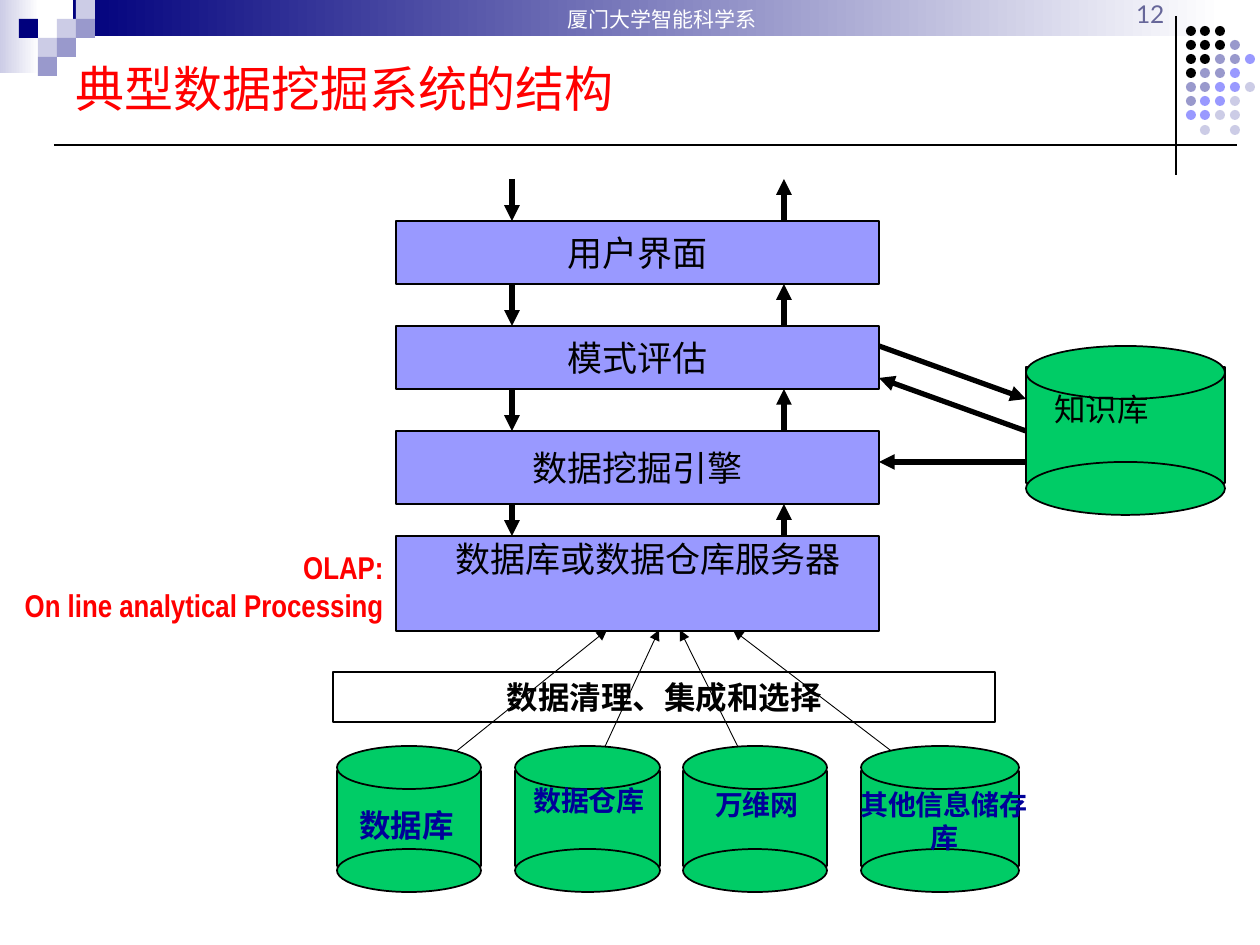
from lxml.etree import SubElement
from pptx import Presentation
from pptx.dml.color import RGBColor
from pptx.enum.shapes import MSO_CONNECTOR, MSO_SHAPE
from pptx.enum.text import MSO_ANCHOR, PP_ALIGN
from pptx.oxml.ns import qn
from pptx.util import Pt

EMU_PER_PX = 914400 / 126
BLACK, WHITE, NAVY, RED = "000000", "FFFFFF", "00007D", "FF0000"
PALE, MUTED, VIOLET, GREEN, INK = "CCCCE6", "9999CC", "9999FF", "00CC66", "000099"


def px(length):
    """Turn pixels into EMU."""
    return round(length * EMU_PER_PX)


def color(value):
    """Turn a hex string into a colour."""
    return RGBColor.from_string(value)


def add_block(slide, preset, box, fill=None, line=None, weight=0.75):
    """Add a preset shape with a plain fill and outline."""
    block = slide.shapes.add_shape(preset, *map(px, box))
    block.shadow.inherit = False
    if fill:
        block.fill.solid()
        block.fill.fore_color.rgb = color(fill)
    else:
        block.fill.background()
    if line:
        block.line.color.rgb = color(line)
        block.line.width = Pt(weight)
    else:
        block.line.fill.background()
    return block


def fade(block, start):
    """Fill a block with a fade from a colour to white, left to right."""
    block.fill.gradient()
    block.fill.gradient_angle = 0
    for stop, shade, position in zip(block.fill.gradient_stops, (start, WHITE), (0, 1)):
        stop.color.rgb = color(shade)
        stop.position = position


def write(holder, text, size, font, ink, bold=False, align=PP_ALIGN.CENTER,
          anchor=MSO_ANCHOR.TOP, wrap=True):
    """Set and format the text of a shape."""
    frame = holder.text_frame
    frame.text = text
    frame.word_wrap = wrap
    frame.vertical_anchor = anchor
    for paragraph in frame.paragraphs:
        paragraph.alignment = align
        for run in paragraph.runs:
            run.font.size = Pt(size)
            run.font.name = font
            run.font.bold = bold
            run.font.color.rgb = color(ink)
    return frame


def add_label(slide, box, *args, **kwargs):
    """Add a text box and write in it."""
    return write(slide.shapes.add_textbox(*map(px, box)), *args, **kwargs)


def add_line(slide, start, end, weight, arrow=False):
    """Add a straight black line, with an arrowhead at its end if asked."""
    line = slide.shapes.add_connector(MSO_CONNECTOR.STRAIGHT, *map(px, start + end))
    line.line.color.rgb = color(BLACK)
    line.line.width = Pt(weight)
    if arrow:
        SubElement(line.line._get_or_add_ln(), qn("a:tailEnd"), type="triangle")
    SubElement(line._element.spPr, qn("a:effectLst"))


def add_cylinder(slide, box, lid, inset, wall):
    """Build a green cylinder from a wall and two ellipses."""
    left, top, width, height = box
    add_block(slide, MSO_SHAPE.RECTANGLE, (left, top + inset, width, wall), GREEN, BLACK, 1)
    for lid_top in (top, top + height - lid):
        add_block(slide, MSO_SHAPE.OVAL, (left, lid_top, width, lid), GREEN, BLACK, 1)


def add_header(slide, box):
    """Draw the department band, its mosaic and the slide number."""
    left, top, width, height = box
    corner = add_block(slide, MSO_SHAPE.RECTANGLE, (left, top, 39, 73), PALE)
    fade(corner, PALE)
    band = add_block(slide, MSO_SHAPE.RECTANGLE, (left + 73, top, width - 110, height), NAVY)
    fade(band, NAVY)
    department = write(band, "厦门大学智能科学系", 12, "Times New Roman", WHITE)
    department.margin_left = px(41)
    tile = 19
    tiles = ((3, 1, PALE), (4, 0, PALE), (4, 1, MUTED), (2, 2, PALE),
             (1, 1, NAVY), (3, 2, MUTED), (2, 3, MUTED))
    for column, row, shade in tiles:
        place = (left + column * tile, top + row * tile, tile, tile)
        add_block(slide, MSO_SHAPE.RECTANGLE, place, shade)
    add_label(slide, (left + 733, top + 13, 444, 22), "12", 14, "Lato", "666699",
              align=PP_ALIGN.RIGHT, anchor=MSO_ANCHOR.BOTTOM)


def add_dots(slide, box):
    """Draw the dot pattern in the corner, spread over the box."""
    left, top, width, height = box
    shades = {"K": BLACK, "M": MUTED, "V": VIOLET, "P": PALE}
    rows = ("KKK", "KKKM", "KKMMV", "KMMV", "MMVVP", "MVVP", "VVPP", ".P.P")
    dot = 10
    for row, pattern in enumerate(rows):
        for column, key in enumerate(pattern):
            if key in shades:
                x = left + column * (width - dot) // 4
                y = top + row * (height - dot) // 7
                add_block(slide, MSO_SHAPE.OVAL, (x, y, dot, dot), shades[key])


def add_title(slide, box):
    """Place the title and the rules that frame it."""
    left, top, width, height = box
    add_line(slide, (left + 1113, top - 26), (left + 1113, top + 133), 0.75)
    add_line(slide, (left - 9, top + 103), (left + 1174, top + 103), 1)
    title = slide.shapes.title
    title.left, title.top, title.width, title.height = map(px, box)
    write(title, "典型数据挖掘系统的结构", 28, "Noto Sans CJK SC", RED,
          align=PP_ALIGN.LEFT, anchor=MSO_ANCHOR.MIDDLE)


def add_layers(slide, box):
    """Stack the system layers, with arrows down and up between them."""
    left, top, width, height = box
    layers = ((42, 63, "用户界面"), (147, 63, "模式评估"), (252, 73, "数据挖掘引擎"),
              (357, 95, ""))
    above = top
    for offset, depth, name in layers:
        layer_top = top + offset
        layer = add_block(slide, MSO_SHAPE.RECTANGLE, (left, layer_top, width, depth),
                          VIOLET, BLACK)
        if name:
            write(layer, name, 20, "Cabin", BLACK, anchor=MSO_ANCHOR.MIDDLE, wrap=False)
        add_line(slide, (left + 116, above), (left + 116, layer_top), 3, arrow=True)
        add_line(slide, (left + 388, layer_top), (left + 388, above), 3, arrow=True)
        above = layer_top + depth
    server = add_label(slide, (left + 21, top + 357, width - 21, 50),
                       "数据库或数据仓库服务器", 20, "Cabin", BLACK)
    server.paragraphs[0].line_spacing = 0.9
    add_label(slide, (left - 384, top + 363, 384, 88), "OLAP:\nOn line analytical Processing",
              18, "Arial Narrow", RED, bold=True, align=PP_ALIGN.RIGHT, wrap=False)


def add_knowledge_base(slide, box, layers_right):
    """Draw the knowledge base and its links to the layers."""
    left, top, width, height = box
    add_line(slide, (layers_right, top), (left, top + 53), 3, arrow=True)
    add_line(slide, (left, top + 85), (layers_right, top + 32), 3, arrow=True)
    add_line(slide, (left, top + 116), (layers_right, top + 116), 3, arrow=True)
    add_cylinder(slide, box, 53, 21, 116)
    add_label(slide, (left + 16, top + 38, width - 16, 50), "知识库", 18, "Cabin", BLACK,
              align=PP_ALIGN.LEFT)


def add_sources(slide, box):
    """Draw the cleaning step and the data sources that feed the server."""
    left, top, width, height = box
    cleaning = add_block(slide, MSO_SHAPE.RECTANGLE, (left, top + 42, width, 50), line=BLACK)
    write(cleaning, "数据清理、集成和选择", 18, "Times New Roman", BLACK, bold=True)
    feeds = ((105, 136, 274), (263, 136, 326), (420, 147, 347), (578, 136, 400))
    for start_x, start_y, end_x in feeds:
        add_line(slide, (left + start_x, top + start_y), (left + end_x, top), 0.5, arrow=True)
    sources = (("数据库", 4, 144, 14, 50, 197, 18, PP_ALIGN.LEFT),
               ("数据仓库", 182, 145, 150, 27, 212, 16, PP_ALIGN.CENTER),
               ("万维网", 350, 144, 318, 31, 212, 16, PP_ALIGN.CENTER),
               ("其他信息储存库", 528, 158, 505, 31, 212, 16, PP_ALIGN.CENTER))
    stores_top = top + 116
    for name, x, store_width, *rest in sources:
        add_cylinder(slide, (left + x, stores_top, store_width, height - 116), 43, 25, 95)
    for name, x, store_width, label_x, label_y, label_width, size, align in sources:
        add_label(slide, (left + label_x, stores_top + label_y + 4, label_width, 47), name,
                  size, "Arial Narrow", INK, bold=True, align=align)


def main():
    """Build the slide and save it."""
    deck = Presentation()
    deck.slide_width, deck.slide_height = px(1260), px(945)
    slide = deck.slides.add_slide(deck.slide_layouts[5])
    add_header(slide, (0, 0, 1260, 36))
    add_dots(slide, (1186, 26, 69, 109))
    add_title(slide, (63, 42, 1144, 92))
    add_layers(slide, (396, 179, 483, 452))
    add_knowledge_base(slide, (1026, 346, 199, 169), 879)
    add_sources(slide, (333, 630, 662, 262))
    deck.save("out.pptx")


if __name__ == "__main__":
    main()
